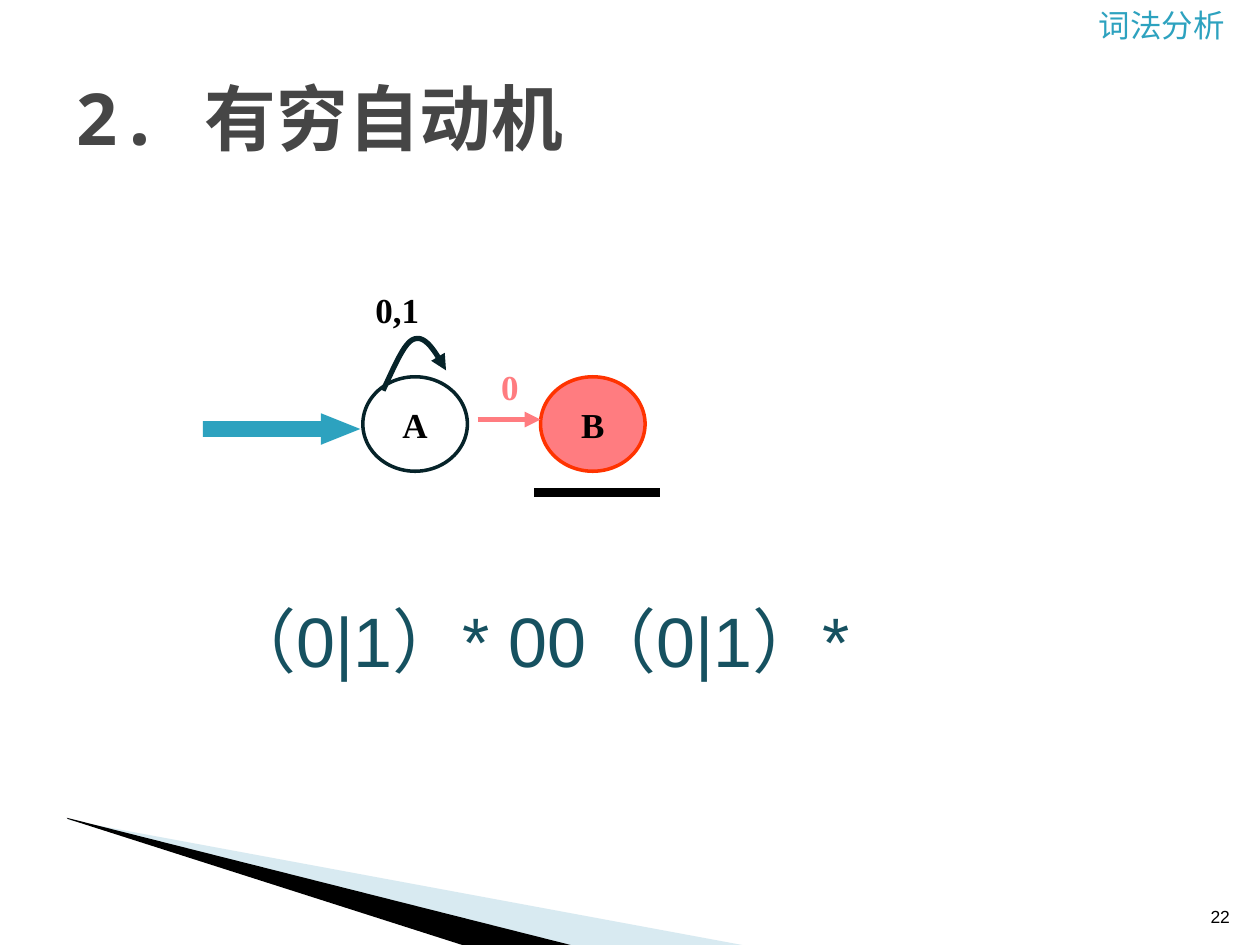
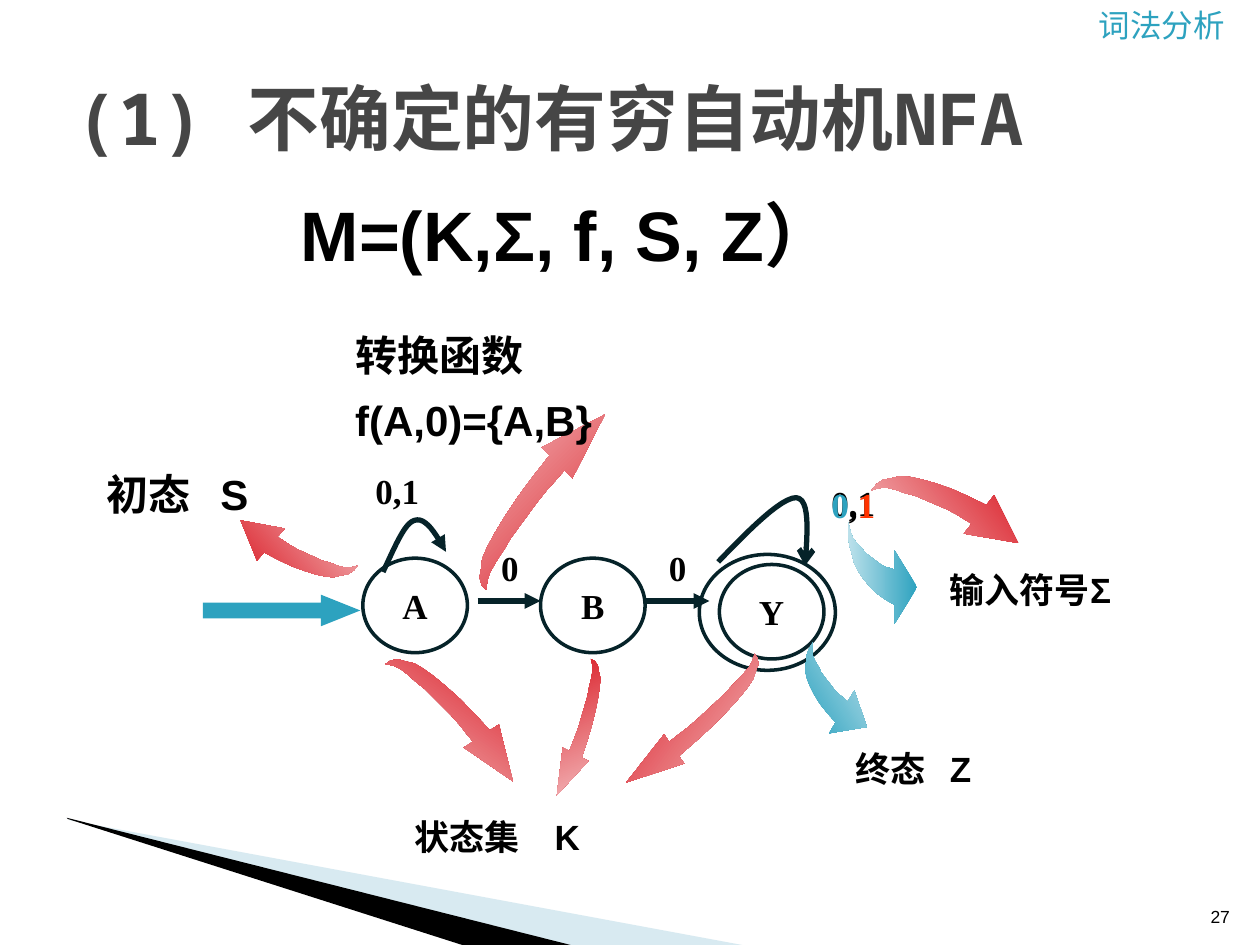
from dataclasses import dataclass
from typing import Optional

from lxml import etree
from pptx import Presentation
from pptx.dml.color import RGBColor
from pptx.enum.shapes import MSO_CONNECTOR, MSO_SHAPE
from pptx.enum.text import MSO_ANCHOR, PP_ALIGN
from pptx.oxml.ns import qn
from pptx.util import Cm, Pt

ELLIPSE = MSO_SHAPE.OVAL
RIGHT_ARROW = MSO_SHAPE.RIGHT_ARROW
STRAIGHT = MSO_CONNECTOR.STRAIGHT
LEFT, CENTER, RIGHT = PP_ALIGN.LEFT, PP_ALIGN.CENTER, PP_ALIGN.RIGHT
TOP, MIDDLE, BOTTOM = MSO_ANCHOR.TOP, MSO_ANCHOR.MIDDLE, MSO_ANCHOR.BOTTOM

COLORS = {
    "black": "000000",
    "white": "FFFFFF",
    "title": "464646",
    "teal": "2DA2BF",
    "pale teal": "BCE1EB",
    "deep teal": "165160",
    "ink": "062329",
    "band": "9FCBDC",
    "red": "DA1F28",
    "pale red": "F3B8BB",
    "pink": "FF7C80",
    "orange": "FF3300",
}
SANS, SERIF, MONO = "Arial", "Times New Roman", "Noto Sans Mono"

STATE_WIDTH, STATE_HEIGHT = 0.83, 0.75
STATE_A, STATE_B, STATE_Y = 2.88, 4.29, 5.71
CURVE_STEPS = 12

ARROW_WING = (0.37, 0.81)
ARROW_TIP = (0.55, 0.52)
ARROW_OUTLINE = [
    (0, 0), (0, 0.09), (0.01, 0.18), (0.03, 0.25), (0.05, 0.33), (0.08, 0.39),
    (0.12, 0.45), (0.17, 0.51), (0.23, 0.57), (0.3, 0.62), (0.37, 0.66),
    ARROW_WING, ARROW_TIP, (0.37, 0.23), (0.37, 0.38),
    (0.34, 0.37), (0.3, 0.36), (0.26, 0.34), (0.22, 0.31), (0.18, 0.28),
    (0.14, 0.25), (0.11, 0.21), (0.07, 0.17), (0.04, 0.13), (0.02, 0.08), (0.01, 0.04),
]

Point = tuple[float, float]


@dataclass
class Span:
    text: str
    color: str = "black"


@dataclass
class Label:
    left: float
    top: float
    width: float
    height: float
    lines: list[list[Span]]
    size: float = 20
    font: str = SERIF
    bold: bool = True
    align: PP_ALIGN = LEFT
    anchor: MSO_ANCHOR = TOP
    wrap: bool = False
    gap: float = 0
    tab: Optional[float] = None


@dataclass
class State:
    name: str
    left: float
    top: float
    fill: str = "white"
    line: str = "ink"


@dataclass
class CurvedArrow:
    tail: Point
    wing: Point
    tip: Point
    angle: float
    color: str = "red"


def length(inches: float) -> Cm:
    return Cm(inches * 2.54)


def rgb(name: str) -> RGBColor:
    return RGBColor.from_string(COLORS[name])


def set_line(shape, color: str, width: float, head: Optional[str] = None) -> None:
    shape.line.color.rgb = rgb(color)
    shape.line.width = Pt(width)
    if head:
        outline = shape._element.spPr.find(qn("a:ln"))
        etree.SubElement(outline, qn("a:tailEnd"), type=head)


def set_fill(shape, color: str) -> None:
    shape.fill.solid()
    shape.fill.fore_color.rgb = rgb(color)


def write(shape, label: Label) -> None:
    frame = shape.text_frame
    frame.word_wrap = label.wrap
    frame.vertical_anchor = label.anchor
    for index, spans in enumerate(label.lines):
        para = frame.add_paragraph() if index else frame.paragraphs[0]
        para.alignment = label.align
        if index:
            para.space_before = Pt(label.gap)
        if label.tab:
            stops = etree.SubElement(para._p.get_or_add_pPr(), qn("a:tabLst"))
            etree.SubElement(stops, qn("a:tab"), pos=str(length(label.tab)), algn="l")
        for span in spans:
            run = para.add_run()
            run.text = span.text
            run.font.name = label.font
            run.font.size = Pt(label.size)
            run.font.bold = label.bold
            run.font.color.rgb = rgb(span.color)


def add_label(page, label: Label) -> None:
    place = map(length, (label.left, label.top, label.width, label.height))
    write(page.shapes.add_textbox(*place), label)


def add_shape(page, kind, left: float, top: float, width: float, height: float):
    shape = page.shapes.add_shape(kind, *map(length, (left, top, width, height)))
    shape.shadow.inherit = False
    return shape


def add_outline(page, points: list[Point], close: bool = True):
    corners = [(length(x), length(y)) for x, y in points]
    builder = page.shapes.build_freeform(*corners[0])
    builder.add_line_segments(corners[1:], close=close)
    shape = builder.convert_to_shape()
    shape.shadow.inherit = False
    return shape


def add_band(page, points: list[Point], color: str, opacity: int = 100) -> None:
    band = add_outline(page, points)
    set_fill(band, color)
    band.line.fill.background()
    if opacity < 100:
        value = band._element.spPr.find(f"{qn('a:solidFill')}/{qn('a:srgbClr')}")
        etree.SubElement(value, qn("a:alpha"), val=str(opacity * 1000))


def add_line(page, start: Point, end: Point, color: str, width: float,
             head: Optional[str] = None) -> None:
    line = page.shapes.add_connector(STRAIGHT, *map(length, (*start, *end)))
    set_line(line, color, width, head)
    etree.SubElement(line._element.spPr, qn("a:effectLst"))


def bezier(a: Point, b: Point, c: Point, d: Point) -> list[Point]:
    points = []
    for step in range(1, CURVE_STEPS + 1):
        t = step / CURVE_STEPS
        weights = ((1 - t) ** 3, 3 * t * (1 - t) ** 2, 3 * t * t * (1 - t), t ** 3)
        points.append(tuple(sum(w * p[axis] for w, p in zip(weights, (a, b, c, d)))
                            for axis in (0, 1)))
    return points


def add_loop(page, knots: list[Point], head: str) -> None:
    points = [knots[0]] + bezier(*knots[:4]) + bezier(*knots[3:])
    loop = add_outline(page, points, close=False)
    loop.fill.background()
    set_line(loop, "ink", 3, head)


def add_state(page, state: State) -> None:
    circle = add_shape(page, ELLIPSE, state.left, state.top, STATE_WIDTH, STATE_HEIGHT)
    set_fill(circle, state.fill)
    set_line(circle, state.line, 2)
    write(circle, Label(0, 0, 0, 0, [[Span(state.name)]], align=CENTER, anchor=MIDDLE))


def add_curved_arrow(page, arrow: CurvedArrow) -> None:
    (wx, wy), (tx, ty) = ARROW_WING, ARROW_TIP
    scale = wx * ty - wy * tx
    points = []
    for x, y in ARROW_OUTLINE:
        to_wing = (x * ty - y * tx) / scale
        to_tip = (wx * y - wy * x) / scale
        points.append(tuple(tail + to_wing * (wing - tail) + to_tip * (tip - tail)
                            for tail, wing, tip in zip(arrow.tail, arrow.wing, arrow.tip)))
    shape = add_outline(page, points)
    shape.line.fill.background()
    shape.fill.gradient()
    shape.fill.gradient_angle = (360 - arrow.angle) % 360
    for stop, color in zip(shape.fill.gradient_stops, (arrow.color, f"pale {arrow.color}")):
        stop.color.rgb = rgb(color)


def add_page(deck, title: str, number: int):
    page = deck.slides.add_slide(deck.slide_layouts[6])
    add_band(page, [(0.55, 6.51), (5.89, 7.5), (4.52, 7.5), (0.55, 6.5)], "band", 40)
    add_band(page, [(0.53, 6.49), (4.53, 7.5), (3.67, 7.5), (0.54, 6.5)], "black")
    for label in (
        Label(8.62, 0, 1.38, 0.4, [[Span("词法分析", "teal")]], 18, SANS, False, wrap=True),
        Label(9.36, 7.01, 0.5, 0.4, [[Span(str(number))]], 10, SANS, False, RIGHT, BOTTOM, True),
        Label(0.5, 0.3, 9, 1.25, [[Span(title, "title")]], 41, MONO, anchor=MIDDLE, wrap=True),
    ):
        add_label(page, label)
    return page


def add_start(page, top: float) -> None:
    entry = add_shape(page, RIGHT_ARROW, 1.61, top + 0.29, 1.25, 0.25)
    entry.adjustments[0], entry.adjustments[1] = 0.5, 1.25
    set_fill(entry, "teal")
    entry.line.fill.background()
    add_state(page, State("A", STATE_A, top))
    knots = [(3.04, 0.11), (3.13, -0.08), (3.21, -0.28), (3.29, -0.3),
             (3.38, -0.33), (3.46, -0.19), (3.54, -0.05)]
    add_loop(page, [(x, top + y) for x, y in knots], "triangle")
    add_label(page, Label(STATE_A, top - 0.75, 0.55, 0.44, [[Span("0,1")]]))


def add_step(page, left: float, label_left: float, top: float, line: str, text: str) -> None:
    height = top + 0.34
    add_line(page, (left, height), (left + 0.5, height), line, 3, "triangle")
    add_label(page, Label(label_left, top - 0.14, 0.34, 0.44, [[Span("0", text)]]))


def build_automaton(deck) -> None:
    page = add_page(deck, "2. 有穷自动机", 22)
    top = 2.99
    add_start(page, top)
    add_state(page, State("B", STATE_B, top, "pink", "orange"))
    add_step(page, 3.79, 3.88, top, "pink", "pink")
    add_line(page, (4.24, 3.91), (5.24, 3.91), "black", 5)
    add_label(page, Label(1.7, 4.69, 6.5, 0.77, [[Span("（0|1）* 00（0|1）*", "deep teal")]],
                          40, SANS, False, wrap=True))


def build_nfa(deck) -> None:
    page = add_page(deck, "(1) 不确定的有穷自动机NFA", 27)
    top = 4.43
    add_loop(page, [(5.7, 4.46), (5.95, 4.2), (6.2, 3.95), (6.32, 3.95),
                    (6.43, 3.96), (6.41, 4.22), (6.39, 4.49)], "arrow")
    add_start(page, top)
    add_state(page, State("B", STATE_B, top))
    add_state(page, State("Y", STATE_Y, top + 0.05))
    add_step(page, 3.79, 3.88, top, "ink", "black")
    add_step(page, 5.13, 5.21, top, "ink", "black")
    ring = add_shape(page, ELLIPSE, 5.55, 4.4, 1.08, 0.92)
    ring.fill.background()
    set_line(ring, "ink", 2)

    for arrow in (
        CurvedArrow((3.06, 5.27), (3.96, 5.75), (4.07, 6.2), 125),
        CurvedArrow((4.69, 5.23), (4.67, 6.04), (4.42, 6.31), 66),
        CurvedArrow((5.99, 5.19), (5.43, 6.06), (4.97, 6.21), 35),
        CurvedArrow((6.92, 3.89), (7.89, 3.93), (8.08, 4.31), 143),
        CurvedArrow((6.73, 4.14), (7.1, 4.95), (7.28, 4.66), 180, "teal"),
        CurvedArrow((2.84, 4.49), (2.04, 4.45), (1.91, 4.13), 320),
        CurvedArrow((6.45, 5.1), (6.58, 5.82), (6.88, 5.77), 329, "teal"),
        CurvedArrow((3.86, 4.68), (4.3, 3.55), (4.8, 3.29), 225),
    ):
        add_curved_arrow(page, arrow)

    colored = [Span("0", "teal"), Span(","), Span("1", "orange")]
    for label in (
        Label(6.5, 3.77, 0.55, 0.44, [[Span("0,1")]]),
        Label(6.5, 3.79, 0.55, 0.44, [colored]),
        Label(2.29, 1.47, 5.2, 0.77, [[Span("M=(K,Σ, f, S, Z）")]], 40, SANS, wrap=True),
        Label(3.19, 6.42, 2.6, 0.44, [[Span("状态集　K")]], 20, SANS, wrap=True),
        Label(7.44, 4.46, 1.89, 0.44, [[Span("输入符号Σ")]], 20, SANS, wrap=True),
        Label(0.75, 3.67, 1.97, 0.5, [[Span("初态\tS")]], 24, SANS, wrap=True, tab=0.9),
        Label(6.69, 5.88, 3.31, 0.44, [[Span("终态\tZ")]], 20, SANS, wrap=True, tab=0.75),
        Label(2.72, 2.57, 4.09, 1.04, [[Span("转换函数")], [Span("f(A,0)={A,B}")]],
              24, SANS, wrap=True, gap=8),
    ):
        add_label(page, label)


def main() -> None:
    deck = Presentation()
    deck.slide_width, deck.slide_height = Cm(25.4), Cm(19.05)
    build_automaton(deck)
    build_nfa(deck)
    deck.save("out.pptx")


if __name__ == "__main__":
    main()
